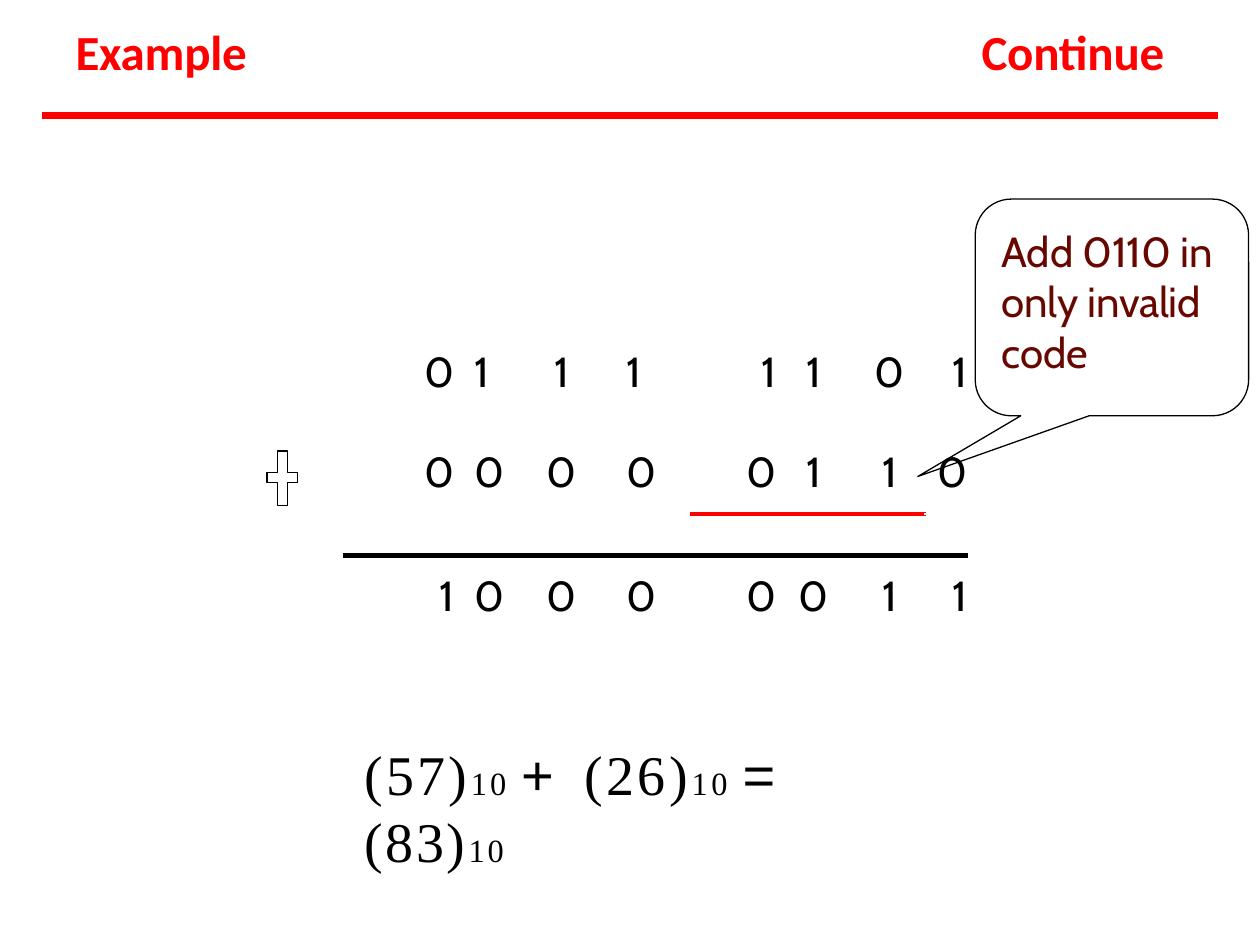
from lxml import etree
from pptx import Presentation
from pptx.dml.color import RGBColor
from pptx.enum import shapes, text
from pptx.oxml import ns
from pptx.util import Inches, Pt

RED, BLACK, BROWN = "FF0000", "000000", "670800"
LEFT, CENTER, RIGHT = text.PP_ALIGN.LEFT, text.PP_ALIGN.CENTER, text.PP_ALIGN.RIGHT

COLUMN_WIDTHS = [0.88, 0.55, 0.6, 0.72, 0.68, 0.6, 0.58, 0.34]
COLUMN_ALIGNS = [RIGHT, LEFT, CENTER, LEFT, RIGHT, CENTER, CENTER, RIGHT]
COLUMN_INDENTS = [0, 0.16, 0, 0.21, 0, 0, 0.02, 0]
# digits, row height, space above the digits
ROWS = [
    ("01111101", 0.6, 0),
    ("00000110", 0.73, 0.2),
    ("", 0.33, 0),
    ("10000011", 0.54, 0.14),
]
INVALID_COLUMNS = range(4, 7)


def color(value):
    return RGBColor.from_string(value)


def add_span(para, words, font, size, fill, spacing=0, bold=False):
    span = para.add_run()
    span.text = words
    span.font.name = font
    span.font.size = Pt(size)
    span.font.bold = bold
    span.font.color.rgb = color(fill)
    if spacing:
        span._r.get_or_add_rPr().set("spc", str(round(spacing * 100)))


def add_text(page, left, top, width, height, spans):
    """Add a one-paragraph box; each span holds the arguments of add_span."""
    box = page.shapes.add_textbox(Inches(left), Inches(top), Inches(width), Inches(height))
    frame = box.text_frame
    frame.word_wrap = True
    frame.margin_left = frame.margin_top = Inches(0.01)
    frame.margin_right = frame.margin_bottom = 0
    for span in spans:
        add_span(frame.paragraphs[0], *span)


def add_rule(page, left, right, top, fill, weight):
    rule = page.shapes.add_connector(
        shapes.MSO_CONNECTOR.STRAIGHT, Inches(left), Inches(top), Inches(right), Inches(top))
    rule.line.color.rgb = color(fill)
    rule.line.width = Pt(weight)
    etree.SubElement(rule._element.spPr, ns.qn("a:effectLst"))


def outline(shape):
    shape.shadow.inherit = False
    shape.fill.background()
    shape.line.color.rgb = color(BLACK)
    shape.line.width = Pt(0.75)


def add_plus(page):
    x1, x2, x3, x4 = 2.12, 2.2, 2.28, 2.36
    y1, y2, y3, y4 = 3.58, 3.75, 3.83, 4.01
    corners = [(x2, y2), (x2, y1), (x3, y1), (x3, y2), (x4, y2), (x4, y3),
               (x3, y3), (x3, y4), (x2, y4), (x2, y3), (x1, y3)]
    builder = page.shapes.build_freeform(Inches(x1), Inches(y2))
    builder.add_line_segments([(Inches(x), Inches(y)) for x, y in corners], close=True)
    outline(builder.convert_to_shape())


def add_callout(page):
    callout = page.shapes.add_shape(
        shapes.MSO_SHAPE.ROUNDED_RECTANGULAR_CALLOUT,
        Inches(7.74), Inches(1.58), Inches(2.17), Inches(1.72))
    callout.adjustments[0] = -0.71
    callout.adjustments[1] = 0.78
    outline(callout)


def add_border(cell, side, fill):
    border = etree.SubElement(cell._tc.get_or_add_tcPr(), ns.qn("a:ln" + side), w=str(Pt(3)))
    solid = etree.SubElement(border, ns.qn("a:solidFill"))
    etree.SubElement(solid, ns.qn("a:srgbClr"), val=fill)


def add_sum(page):
    table = page.shapes.add_table(
        len(ROWS), len(COLUMN_WIDTHS), Inches(2.73), Inches(2.75),
        Inches(sum(COLUMN_WIDTHS)), Inches(sum(row[1] for row in ROWS))).table
    table.first_row = table.horz_banding = False
    for column, width in zip(table.columns, COLUMN_WIDTHS):
        column.width = Inches(width)
    for r, (digits, height, space) in enumerate(ROWS):
        table.rows[r].height = Inches(height)
        for c, (align, indent) in enumerate(zip(COLUMN_ALIGNS, COLUMN_INDENTS)):
            cell = table.cell(r, c)
            cell.margin_left, cell.margin_top = Inches(indent), Inches(space)
            cell.margin_right = cell.margin_bottom = 0
            para = cell.text_frame.paragraphs[0]
            para.alignment = align
            if digits:
                add_span(para, digits[c], "Cabin", 24, BLACK)
            if r == 3:
                para.line_spacing = Pt(27.9)
                add_border(cell, "T", BLACK)
            if r == 2 and c in INVALID_COLUMNS:
                add_border(cell, "T", RED)
            if r == 2:
                add_border(cell, "B", BLACK)
            if r == 1 and c in INVALID_COLUMNS:
                add_border(cell, "B", RED)
            cell.fill.background()


def add_equation(page):
    spans = []
    for number, spacing, sign in [("(57)", 1.9, "+ "), ("(26)", 2, "= "), ("(83)", 1.6, "")]:
        base = "10 " if sign else "10"
        spans.append((number, "Times New Roman", 32, BLACK, spacing))
        spans.append((base, "Times New Roman", 18.5, BLACK, spacing))
        if sign:
            spans.append((sign, "Arial", 32, BLACK, 4.2))
    add_text(page, 2.88, 5.86, 4.52, 0.56, spans)


def main():
    deck = Presentation()
    deck.slide_width, deck.slide_height = Inches(10), Inches(7.5)
    page = deck.slides.add_slide(deck.slide_layouts[6])
    for heading, left, width in [("Example", 0.59, 1.4), ("Continue", 7.78, 1.49)]:
        add_text(page, left, 0.16, width, 0.49,
                 [(heading, "Calibri", 28, RED, -0.1, True)])
    add_rule(page, 0.33, 9.67, 0.92, RED, 4)
    add_plus(page)
    add_sum(page)
    add_callout(page)
    add_text(page, 7.94, 1.78, 1.79, 1.23,
             [("Add 0110 in only invalid code", "Cabin", 24, BROWN, -0.1)])
    add_equation(page)
    deck.save("out.pptx")


if __name__ == "__main__":
    main()
